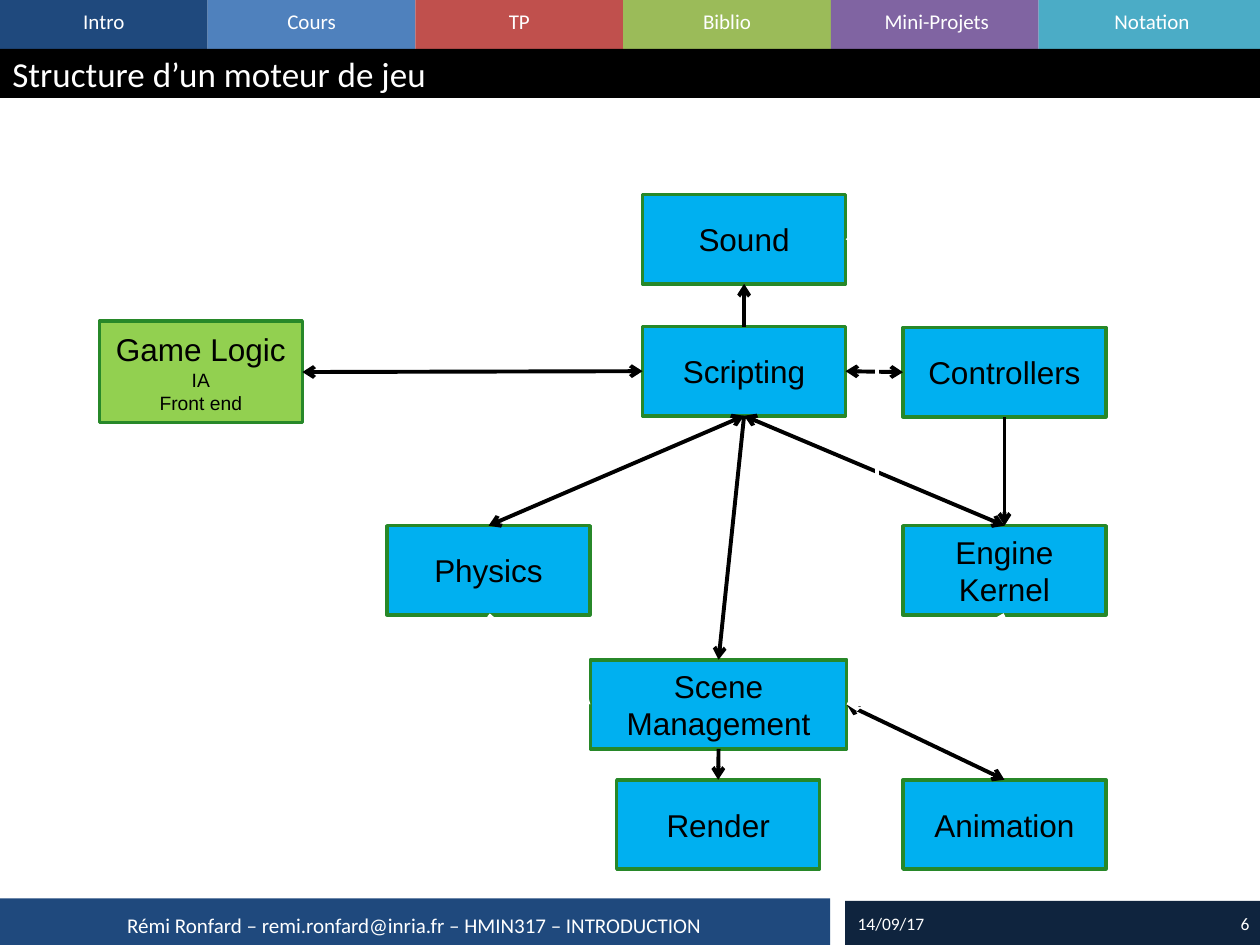
from dataclasses import dataclass

from lxml import etree
from pptx import Presentation
from pptx.dml.color import RGBColor
from pptx.enum import shapes, text
from pptx.oxml import ns
from pptx.util import Pt


@dataclass(frozen=True)
class Theme:
    head_font: str = "Calibri"
    body_font: str = "Arial"
    white: str = "FFFFFF"
    black: str = "000000"
    navy: str = "1F497D"
    dark_navy: str = "0F243E"
    tabs: tuple = ("1F497D", "4F81BD", "C0504D", "9BBB59", "8064A2", "4BACC6")
    node: str = "00B0F0"
    game_node: str = "92D050"
    border: str = "278829"
    title_size: float = 20
    node_size: float = 18
    label_size: float = 12
    detail_size: float = 11
    small_size: float = 10
    border_width: float = 2
    link_width: float = 2.25


LEFT, CENTER, RIGHT = text.PP_ALIGN.LEFT, text.PP_ALIGN.CENTER, text.PP_ALIGN.RIGHT
TOP_SIDE, LEFT_SIDE, BOTTOM_SIDE, RIGHT_SIDE = range(4)


class Deck:
    def __init__(self, theme, width, height):
        self.theme = theme
        self.prs = Presentation()
        self.prs.slide_width, self.prs.slide_height = Pt(width), Pt(height)
        self.s = self.prs.slides.add_slide(self.prs.slide_layouts[6])

    def set_text(self, sp, lines, sizes, font, color, align, middle=True):
        tf = sp.text_frame
        tf.word_wrap = True
        tf.vertical_anchor = text.MSO_ANCHOR.MIDDLE if middle else text.MSO_ANCHOR.TOP
        tf.text = "\n".join(lines)
        for p, size in zip(tf.paragraphs, sizes):
            p.alignment = align
            for r in p.runs:
                r.font.size = Pt(size)
                r.font.name = font
                r.font.color.rgb = RGBColor.from_string(color)

    def box(self, x, y, w, h, fill, border=None):
        sp = self.s.shapes.add_shape(
            shapes.MSO_SHAPE.RECTANGLE, Pt(x), Pt(y), Pt(w), Pt(h))
        sp.shadow.inherit = False
        sp.fill.solid()
        sp.fill.fore_color.rgb = RGBColor.from_string(fill)
        if border:
            sp.line.color.rgb = RGBColor.from_string(border)
            sp.line.width = Pt(self.theme.border_width)
        else:
            sp.line.fill.background()
        return sp

    def label(self, x, y, w, h, words, size, align=LEFT, middle=True):
        sp = self.s.shapes.add_textbox(Pt(x), Pt(y), Pt(w), Pt(h))
        self.set_text(sp, [words], [size], self.theme.head_font,
                      self.theme.white, align, middle)

    def node(self, x, y, w, h, fill, title, *details):
        t = self.theme
        sp = self.box(x, y, w, h, fill, t.border)
        sizes = [t.node_size] + [t.detail_size] * len(details)
        self.set_text(sp, [title, *details], sizes, t.body_font, t.black, CENTER)
        return sp

    def link(self, start, start_side, end, end_side, color, both=False, bend=None):
        kind = shapes.MSO_CONNECTOR.STRAIGHT if bend is None else shapes.MSO_CONNECTOR.ELBOW
        c = self.s.shapes.add_connector(kind, 0, 0, 0, 0)
        c.begin_connect(start, start_side)
        c.end_connect(end, end_side)
        c.line.color.rgb = RGBColor.from_string(color)
        c.line.width = Pt(self.theme.link_width)
        ln = c._element.spPr.find(ns.qn("a:ln"))
        for end_tag in (("a:headEnd", "a:tailEnd") if both else ("a:tailEnd",)):
            etree.SubElement(ln, ns.qn(end_tag), type="arrow")
        etree.SubElement(c._element.spPr, ns.qn("a:effectLst"))
        if bend is not None:
            # Position of the middle segment, relative to the connector's width
            ratio = (Pt(bend) - c.begin_x) / (c.end_x - c.begin_x)
            guides = c._element.spPr.find(".//" + ns.qn("a:avLst"))
            etree.SubElement(guides, ns.qn("a:gd"), name="adj1",
                             fmla=f"val {round(ratio * 100000)}")


def main():
    t = Theme()
    deck = Deck(t, 720, 540)

    # Navigation tabs
    tab_w, bar_h = 118.7, 28
    tabs = ("Intro", "Cours", "TP", "Biblio", "Mini-Projets", "Notation")
    label_widths = (tab_w,) * 4 + (121, 129.6)
    for i, color in enumerate(t.tabs):
        deck.box(i * tab_w, 0, 720 - i * tab_w if i == 5 else tab_w, bar_h, color)
    for i, (name, w) in enumerate(zip(tabs, label_widths)):
        deck.label(i * tab_w, 1.4, w, 21.6, name, t.label_size, CENTER, middle=False)

    # Title bar
    deck.box(0, bar_h, 720, bar_h, t.black)
    deck.label(0, bar_h, 720, bar_h, "Structure d’un moteur de jeu", t.title_size)

    # Footer
    deck.box(0, 513.4, 474.4, 26.6, t.navy)
    deck.box(483, 514.8, 237, 25.2, t.dark_navy)
    deck.label(-0.7, 514.8, 475, 27.4,
               "Rémi Ronfard – remi.ronfard@inria.fr – HMIN317 – INTRODUCTION",
               t.label_size, CENTER)
    deck.label(553, 514.3, 168, 26.8, "6", t.small_size, RIGHT)
    deck.label(483, 514.3, 70.6, 27, "14/09/17", t.small_size)

    # Engine modules
    w, h = 116, 51
    middle_x, right_x = 367.2, 516
    upper_y, lower_y, bottom_y = 186.6, 300.4, 445.6
    game = deck.node(56.8, 183.6, w, 58, t.game_node, "Game Logic", "IA", "Front end")

    def module(name, x, y, width=w):
        return deck.node(x, y, width, h, t.node, name)

    sound = module("Sound", middle_x, 111.2)
    scripting = module("Scripting", middle_x, upper_y)
    controllers = module("Controllers", right_x, 187.2)
    physics = module("Physics", 221.2, lower_y)
    kernel = module("Engine Kernel", right_x, lower_y)
    scene = module("Scene Management", 337.4, 377, 146.4)
    render = module("Render", 352.4, bottom_y)
    animation = module("Animation", right_x, bottom_y)

    # Links between modules: start, side, end, side, colour, both ends, bend
    links = (
        (game, RIGHT_SIDE, scripting, LEFT_SIDE, t.black, True),
        (scripting, RIGHT_SIDE, controllers, LEFT_SIDE, t.black, True),
        (controllers, BOTTOM_SIDE, kernel, TOP_SIDE, t.black),
        (kernel, TOP_SIDE, scripting, BOTTOM_SIDE, t.black, True),
        (scripting, BOTTOM_SIDE, physics, TOP_SIDE, t.black, True),
        (kernel, BOTTOM_SIDE, scene, RIGHT_SIDE, t.white),
        (scene, BOTTOM_SIDE, render, TOP_SIDE, t.black),
        (scripting, BOTTOM_SIDE, scene, TOP_SIDE, t.black),
        (physics, BOTTOM_SIDE, scene, LEFT_SIDE, t.white),
        (scripting, TOP_SIDE, sound, BOTTOM_SIDE, t.black),
        (animation, TOP_SIDE, scene, RIGHT_SIDE, t.black, True),
        (scene, RIGHT_SIDE, sound, RIGHT_SIDE, t.white, True, 501.2),
    )
    for link in links:
        deck.link(*link)

    deck.prs.save("out.pptx")


if __name__ == "__main__":
    main()
